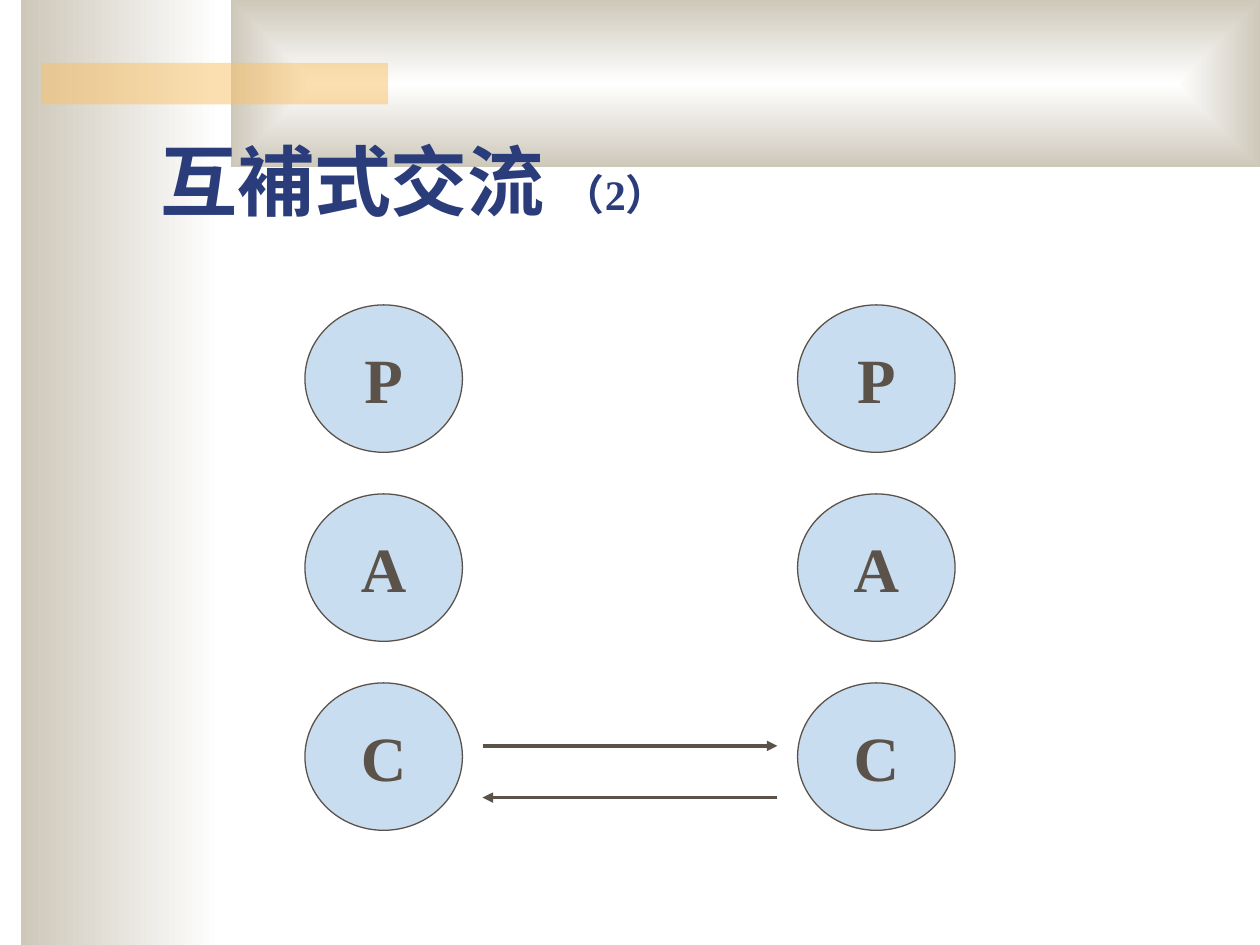
from pptx import Presentation, util as u
from pptx.dml.color import RGBColor
from pptx.enum import shapes, text
from pptx.oxml import parse_xml
from pptx.oxml.ns import nsdecls, qn
from lxml import etree

FONT = "Times New Roman"
NAVY, BROWN, BLUE = "2A3D7A", "5B5249", "C9DDF1"
WHITE, BEIGE, ORANGE = "FFFFFF", "CEC8BA", "FAC164"

TITLE = [("互補式交流 ", 44), ("（2）", 24)]
EGO_STATES = ["P", "A", "C"]
PERSON_LEFTS = [2.42, 6.33]
FIRST_TOP, ROW_STEP = 2.42, 1.5
CIRCLE_W, CIRCLE_H = 1.25, 1.17
ARROWS = [(3.83, 6.17, 5.92), (6.17, 3.83, 6.33)]
LINEAR = '<a:lin ang="10800000" scaled="0"/>'
RECTANGULAR = ('<a:path path="rect">'
               '<a:fillToRect l="50000" t="50000" r="50000" b="50000"/></a:path>')
GRADIENT_BANDS = [((0.17, 0, 1.58, 7.5), LINEAR),
                  ((1.83, 0, 8.17, 1.33), RECTANGULAR)]
ACCENT_BAND = (0.33, 0.5, 2.75, 0.33)


def rgb(value):
    return RGBColor.from_string(value)


def add_shape(parent, kind, box, color):
    sp = parent.add_shape(kind, *map(u.Inches, box))
    sp.shadow.inherit = False
    sp.fill.solid()
    sp.fill.fore_color.rgb = rgb(color)
    sp.line.fill.background()
    return sp


def add_run(p, content, size, color):
    r = p.add_run()
    r.text = content
    r.font.name = FONT
    r.font.size = u.Pt(size)
    r.font.bold = True
    r.font.color.rgb = rgb(color)


def set_gradient(sp, direction):
    stops = "".join(f'<a:gs pos="{pos}"><a:srgbClr val="{color}"/></a:gs>'
                    for pos, color in [(0, WHITE), (100000, BEIGE)])
    grad = parse_xml(f'<a:gradFill {nsdecls("a")} rotWithShape="1">'
                     f'<a:gsLst>{stops}</a:gsLst>{direction}</a:gradFill>')
    spPr = sp._element.spPr
    spPr.replace(spPr.find(qn("a:solidFill")), grad)


def add_bands(s):
    for box, direction in GRADIENT_BANDS:
        sp = add_shape(s.shapes, shapes.MSO_SHAPE.RECTANGLE, box, BEIGE)
        set_gradient(sp, direction)
    sp = add_shape(s.shapes, shapes.MSO_SHAPE.RECTANGLE, ACCENT_BAND, ORANGE)
    color = sp._element.spPr.find(qn("a:solidFill")).find(qn("a:srgbClr"))
    etree.SubElement(color, qn("a:alpha")).set("val", "50000")


def add_title(s):
    sp = s.shapes.title
    s.shapes._spTree.append(sp._element)
    sp.left, sp.top, sp.width, sp.height = map(u.Inches, (1.17, 0.92, 8.5, 0.92))
    tf = sp.text_frame
    tf.auto_size = text.MSO_AUTO_SIZE.NONE
    tf.vertical_anchor = text.MSO_ANCHOR.BOTTOM
    p = tf.paragraphs[0]
    p.alignment = text.PP_ALIGN.LEFT
    for content, size in TITLE:
        add_run(p, content, size, NAVY)


def add_person(s, left):
    group = s.shapes.add_group_shape()
    for row, state in enumerate(EGO_STATES):
        box = (left, FIRST_TOP + row * ROW_STEP, CIRCLE_W, CIRCLE_H)
        sp = add_shape(group.shapes, shapes.MSO_SHAPE.OVAL, box, BLUE)
        sp.line.color.rgb = rgb(BROWN)
        sp.line.width = u.Pt(0.75)
        tf = sp.text_frame
        tf.word_wrap = False
        tf.vertical_anchor = text.MSO_ANCHOR.MIDDLE
        p = tf.paragraphs[0]
        p.alignment = text.PP_ALIGN.CENTER
        add_run(p, state, 36, BROWN)


def add_arrow(s, start, end, y):
    line = s.shapes.add_connector(shapes.MSO_CONNECTOR.STRAIGHT,
                                  *map(u.Inches, (start, y, end, y)))
    line.line.color.rgb = rgb(BROWN)
    line.line.width = u.Pt(2)
    spPr = line._element.spPr
    etree.SubElement(spPr.find(qn("a:ln")), qn("a:tailEnd")).set("type", "triangle")
    etree.SubElement(spPr, qn("a:effectLst"))


def main():
    prs = Presentation()
    prs.slide_width, prs.slide_height = u.Inches(10), u.Inches(7.5)
    s = prs.slides.add_slide(prs.slide_layouts[5])
    add_bands(s)
    add_title(s)
    for left in PERSON_LEFTS:
        add_person(s, left)
    for arrow in ARROWS:
        add_arrow(s, *arrow)
    prs.save("out.pptx")


if __name__ == "__main__":
    main()
